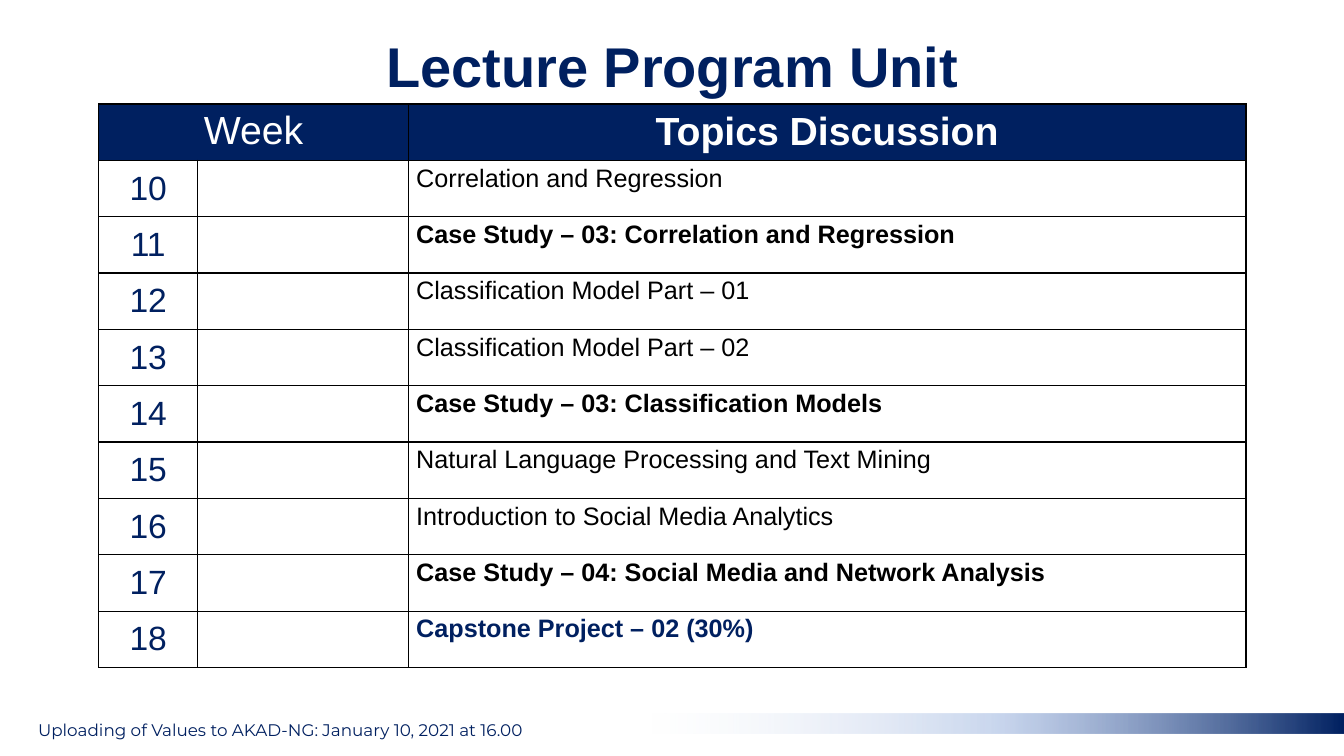
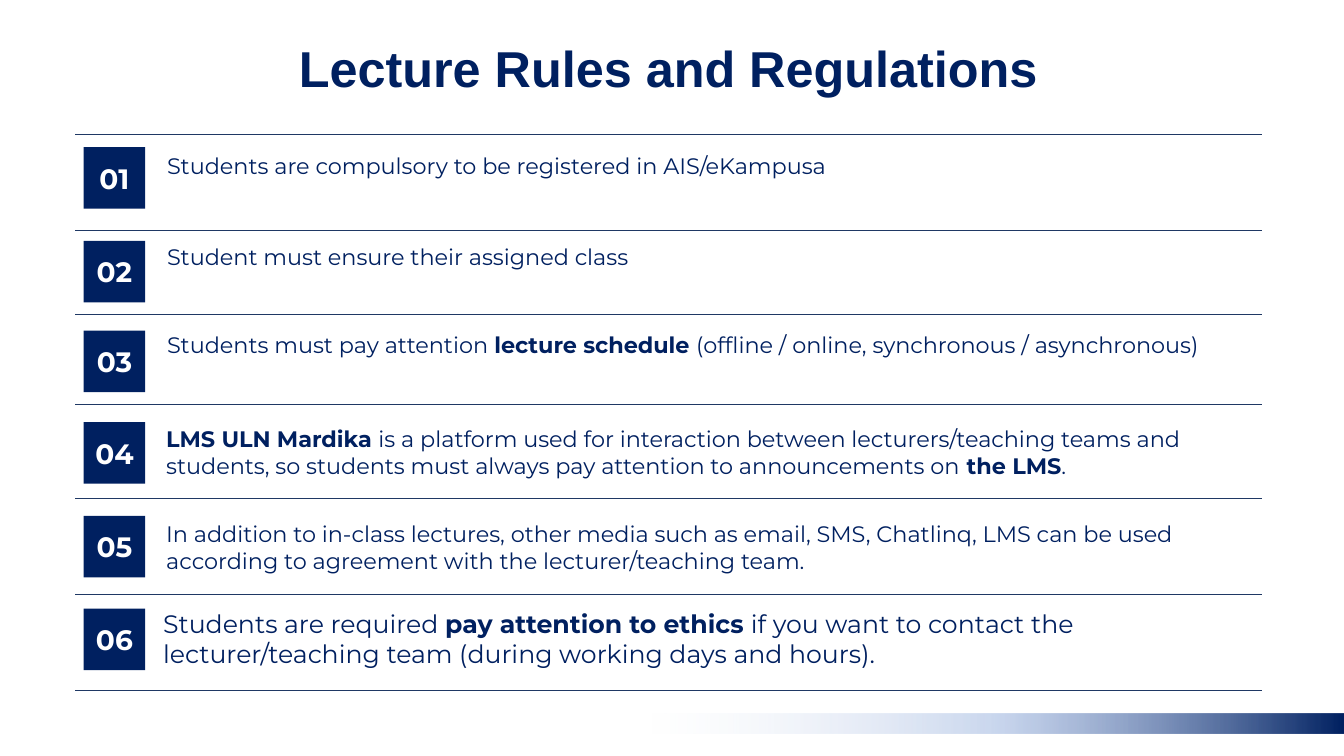
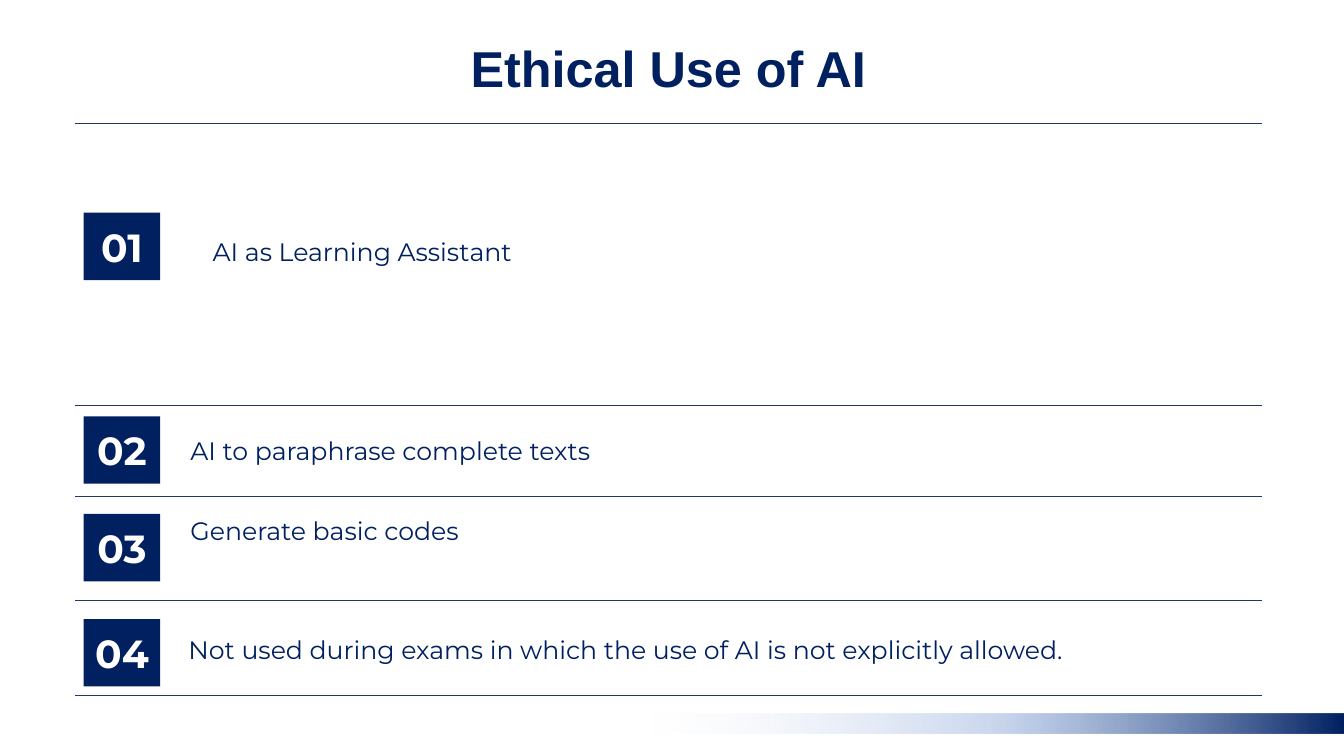
from lxml.etree import SubElement
from pptx import Presentation
from pptx.dml.color import RGBColor
from pptx.enum.shapes import MSO_CONNECTOR as CONN, MSO_SHAPE as SHAPE
from pptx.enum.text import MSO_ANCHOR as ANCHOR, MSO_AUTO_SIZE as FIT, PP_ALIGN as ALIGN
from pptx.oxml.ns import qn
from pptx.util import Cm, Pt

COLORS = {
    "navy": "002060",
    "rule": "1F3864",
    "white": "FFFFFF",
    "black": "000000",
    "mid": "8DA9DB",
    "pale": "D8E2F3",
}
HEAD_FONT, BODY_FONT = "Arial", "Montserrat"
RULE_LEFT, RULE_WIDTH = 1.9, 29.9
BADGE_LEFT, TEXT_WIDTH = 2.11, 27.23

TOPICS = [
    "Correlation and Regression",
    "*Case Study – 03: Correlation and Regression*",
    "Classification Model Part – 01",
    "Classification Model Part – 02",
    "*Case Study – 03: Classification Models*",
    "Natural Language Processing and Text Mining",
    "Introduction to Social Media Analytics",
    "*Case Study – 04: Social Media and Network Analysis*",
    "*Capstone Project – 02 (30%)*",
]

# row height, badge offset, text left, text offset, text size, text
RULES = [
    (2.42, 0.31, 3.96, 0.31, 16, "Students are compulsory to be registered in AIS/eKampusa"),
    (2.1, 0.25, 3.96, 0.17, 16, "Student must ensure their assigned class"),
    (2.27, 0.41, 3.96, 0.31, 16,
     "Students must pay attention *lecture schedule *"
     "(offline / online, synchronous / asynchronous)"),
    (2.38, 0.45, 3.94, 0.4, 16,
     "*LMS ULN Mardika *is a platform used for interaction between lecturers/teaching "
     "teams and students, so students must always pay attention to announcements on"
     "* the LMS*."),
    (2.42, 0.43, 3.94, 0.41, 16,
     "In addition to in-class lectures, other media such as email, SMS, Chatlinq, LMS "
     "can be used according to agreement with the lecturer/teaching team."),
    (2.41, 0.35, 3.86, 0.22, 18,
     "Students are required *pay attention to ethics *if you want to contact the "
     "lecturer/teaching team (during working days and hours)."),
]
AI_USES = [
    (7.11, 2.26, 5.11, 2.72, 18, "AI as Learning Assistant"),
    (2.29, 0.28, 4.55, 0.64, 18, "AI to paraphrase complete texts"),
    (2.64, 0.45, 4.55, 0.35, 18, "Generate basic codes"),
    (2.39, 0.46, 4.5, 0.71, 18,
     "Not used during exams in which the use of AI is not explicitly allowed."),
]


def rgb(name):
    return RGBColor.from_string(COLORS[name])


def cms(*values):
    return [Cm(v) for v in values]


def write(tf, text, size=16, font=BODY_FONT, color="navy", align=ALIGN.LEFT):
    p = tf.paragraphs[0]
    p.alignment = align
    for i, part in enumerate(text.split("*")):
        if part:
            r = p.add_run()
            r.text = part
            r.font.size, r.font.name = Pt(size), font
            r.font.bold = i % 2 == 1
            r.font.color.rgb = rgb(color)


def add_text(slide, box, text, **fmt):
    tf = slide.shapes.add_textbox(*cms(*box)).text_frame
    tf.word_wrap = True
    write(tf, text, **fmt)


def add_rect(slide, box):
    sp = slide.shapes.add_shape(SHAPE.RECTANGLE, *cms(*box))
    sp.shadow.inherit = False
    sp.line.fill.background()
    return sp


def add_badge(slide, box, number, size):
    sp = add_rect(slide, box)
    sp.fill.solid()
    sp.fill.fore_color.rgb = rgb("navy")
    sp.text_frame.vertical_anchor = ANCHOR.MIDDLE
    write(sp.text_frame, f"*{number:02d}*", size=size, color="white", align=ALIGN.CENTER)


def add_rule(slide, top):
    line = slide.shapes.add_connector(
        CONN.STRAIGHT, *cms(RULE_LEFT, top, RULE_LEFT + RULE_WIDTH, top))
    line.line.color.rgb = rgb("rule")
    line.line.width = Pt(0.75)
    SubElement(line.element.spPr, qn("a:effectLst"))


def add_band(slide, layout, box):
    sp = add_rect(slide, box)
    sp.fill.gradient()
    grad = sp.element.spPr.find(qn("a:gradFill"))
    grad.find(qn("a:lin")).set("ang", "0")
    stops = grad.find(qn("a:gsLst"))
    for stop in list(stops):
        stops.remove(stop)
    for pos, name, alpha in ((0, "pale", 0), (50, "mid", 47), (100, "navy", 100)):
        stop = SubElement(stops, qn("a:gs"), pos=str(pos * 1000))
        clr = SubElement(stop, qn("a:srgbClr"), val=COLORS[name])
        SubElement(clr, qn("a:alpha"), val=str(alpha * 1000))
    layout.shapes.element.append(sp.element)


def add_slide(prs, layout, title, box, size):
    slide = prs.slides.add_slide(layout)
    sp = slide.shapes.title
    sp.left, sp.top, sp.width, sp.height = cms(*box)
    tf = sp.text_frame
    tf.auto_size, tf.vertical_anchor = FIT.NONE, ANCHOR.TOP
    write(tf, f"*{title}*", size=size, font=HEAD_FONT, align=ALIGN.CENTER)
    return slide


def style_cell(cell, fill=None):
    if fill:
        cell.fill.solid()
        cell.fill.fore_color.rgb = rgb(fill)
    else:
        cell.fill.background()
    tc_pr = cell._tc.get_or_add_tcPr()
    for i, side in enumerate("LRTB"):
        ln = SubElement(tc_pr, qn(f"a:ln{side}"), w=str(Pt(1)))
        SubElement(SubElement(ln, qn("a:solidFill")), qn("a:srgbClr"), val=COLORS["black"])
        tc_pr.insert(i, ln)


def add_schedule(slide, left, top, widths, row_height):
    count = len(TOPICS) + 1
    tbl = slide.shapes.add_table(
        count, len(widths), *cms(left, top, sum(widths), row_height * count)).table
    tbl.first_row = tbl.horz_banding = False
    for col, width in zip(tbl.columns, widths):
        col.width = Cm(width)
    for i, row in enumerate(tbl.rows):
        row.height = Cm(row_height)
        for cell in row.cells:
            style_cell(cell, None if i else "navy")
    tbl.cell(0, 0).merge(tbl.cell(0, 1))
    header = dict(size=28, font=HEAD_FONT, color="white", align=ALIGN.CENTER)
    write(tbl.cell(0, 0).text_frame, "Week", **header)
    write(tbl.cell(0, 2).text_frame, "*Topics Discussion*", **header)
    tbl.cell(0, 2).vertical_anchor = ANCHOR.MIDDLE
    for i, topic in enumerate(TOPICS, 1):
        week, cell = tbl.cell(i, 0), tbl.cell(i, 2)
        week.vertical_anchor = ANCHOR.MIDDLE
        write(week.text_frame, str(i + 9), size=24, font=HEAD_FONT, align=ALIGN.CENTER)
        cell.margin_left = cell.margin_right = Cm(0.2)
        cell.margin_top = cell.margin_bottom = Cm(0.1)
        write(cell.text_frame, topic, size=18, font=HEAD_FONT,
              color="navy" if i == len(TOPICS) else "black")


def add_numbered_rows(slide, top, rows, badge, badge_size):
    add_rule(slide, top)
    for n, (height, badge_dy, left, text_dy, size, text) in enumerate(rows, 1):
        add_badge(slide, (BADGE_LEFT, top + badge_dy, *badge), n, badge_size)
        add_text(slide, (left, top + text_dy, TEXT_WIDTH, 1), text, size=size)
        top += height
        add_rule(slide, top)


def main():
    prs = Presentation()
    prs.slide_width, prs.slide_height = cms(33.87, 19.05)
    layout = prs.slide_layouts[5]
    title_box = (1.02, 0.81, 31.65, 1.8)

    slide = add_slide(prs, layout, "Lecture Program Unit", (5.56, 0.66, 22.76, 1.96), 40)
    add_band(slide, layout, (16.43, 17.98, 17.44, 0.5))
    add_schedule(slide, 2.49, 2.62, (2.49, 5.31, 21.11), 1.42)
    add_text(slide, (0.71, 18.01, 14.02, 0.76),
             "Uploading of Values to AKAD-NG: January 10, 2021 at 16.00", size=12)

    slide = add_slide(prs, layout, "Lecture Rules and Regulations", title_box, 36)
    add_numbered_rows(slide, 3.4, RULES, (1.55, 1.55), 20)

    slide = add_slide(prs, layout, "Ethical Use of AI", title_box, 36)
    add_numbered_rows(slide, 3.1, AI_USES, (1.93, 1.7), 28)

    prs.save("out.pptx")


if __name__ == "__main__":
    main()
